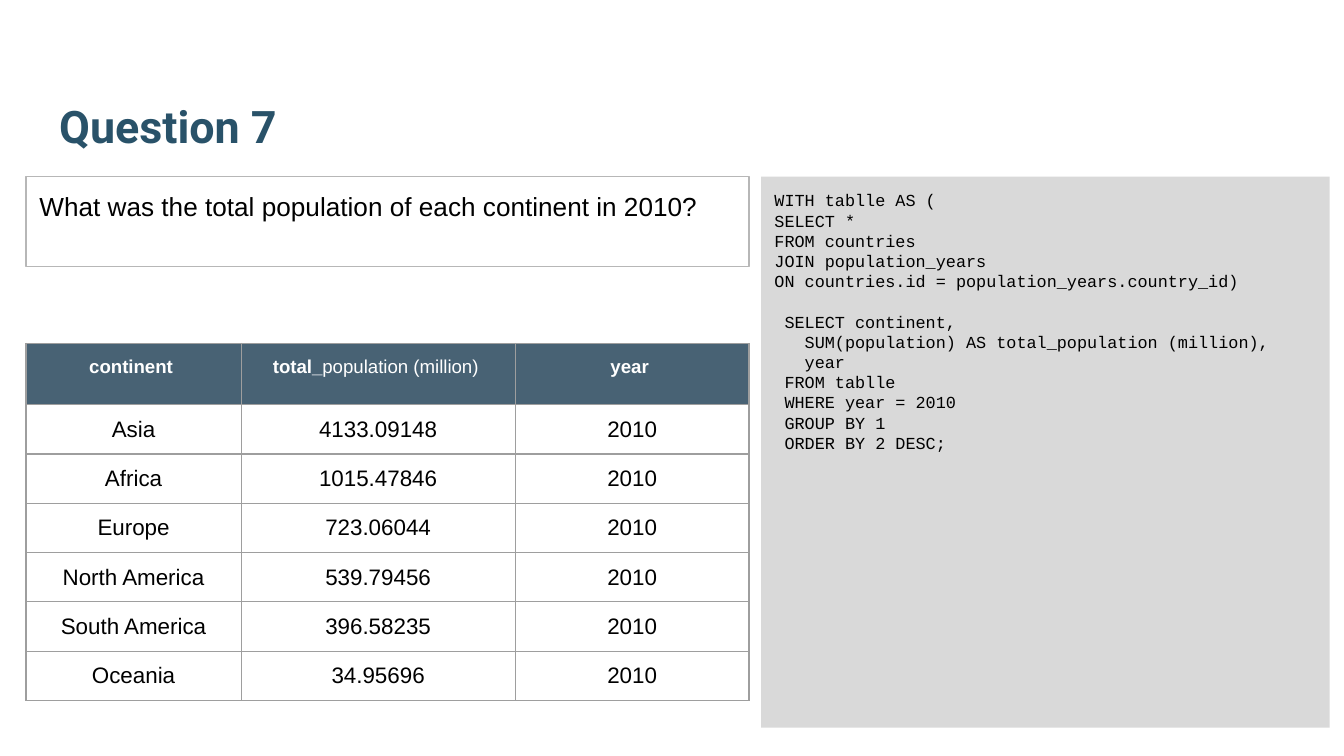
from dataclasses import dataclass

from pptx import Presentation
from pptx.dml.color import RGBColor
from pptx.enum.shapes import MSO_SHAPE
from pptx.enum.text import MSO_ANCHOR, PP_ALIGN
from pptx.oxml import parse_xml
from pptx.oxml.ns import nsdecls, qn
from pptx.util import Inches, Pt
from lxml.etree import SubElement


@dataclass(frozen=True)
class Theme:
    title: str = "295269"
    ink: str = "000000"
    header: str = "204056"
    header_ink: str = "FFFFFF"
    code_panel: str = "D9D9D9"
    question_line: str = "B7B7B7"
    grid_line: str = "9E9E9E"
    title_font: str = "Roboto"
    body_font: str = "Arial"
    code_font: str = "Courier New"
    title_size: float = 24
    question_size: float = 14
    cell_size: float = 12
    header_size: float = 10
    code_size: float = 9
    code_leading: float = 10.83
    line_width: float = 0.75


theme = Theme()
prs = Presentation()
prs.slide_width = Inches(10)
prs.slide_height = prs.slide_width * 9 // 16
unit = prs.slide_width / 100  # square grid, 100 columns across
slide = prs.slides.add_slide(prs.slide_layouts[5])


def grid(*counts):
    return [round(count * unit) for count in counts]


def add_run(paragraph, text, font, size, color, bold=False):
    run = paragraph.add_run()
    run.text = text
    run.font.name, run.font.size, run.font.bold = font, Pt(size), bold
    run.font.color.rgb = RGBColor.from_string(color)


left, top, question_width = 1.94, 13.14, 53.8

# Title
title = slide.shapes.title
title.left, title.top, title.width, title.height = grid(3.4, 3.2, 93.2, 9.15)
title.text_frame.vertical_anchor = MSO_ANCHOR.BOTTOM
add_run(title.text_frame.paragraphs[0], "Question 7", theme.title_font,
        theme.title_size, theme.title, True)

# Code panel and question box
code_panel = slide.shapes.add_shape(MSO_SHAPE.RECTANGLE, *grid(56.64, top, 42.3, 41))
code_panel.fill.solid()
code_panel.fill.fore_color.rgb = RGBColor.from_string(theme.code_panel)
code_panel.line.fill.background()

question = slide.shapes.add_shape(MSO_SHAPE.RECTANGLE, *grid(left, top, question_width, 6.7))
question.fill.background()
question.line.color.rgb = RGBColor.from_string(theme.question_line)
question.line.width = Pt(theme.line_width)

for panel in (code_panel, question):
    panel.shadow.inherit = False
    panel.text_frame.vertical_anchor = MSO_ANCHOR.TOP

for frame in (title.text_frame, code_panel.text_frame, question.text_frame):
    frame.word_wrap = True
    frame.margin_left = frame.margin_right = frame.margin_top = frame.margin_bottom = round(unit)
    frame.paragraphs[0].alignment = PP_ALIGN.LEFT

add_run(question.text_frame.paragraphs[0],
        "What was the total population of each continent in 2010?",
        theme.body_font, theme.question_size, theme.ink)

# Query: the common table expression, then the main select
query_parts = (
    """WITH tablle AS (
SELECT *
FROM countries
JOIN population_years
ON countries.id = population_years.country_id)""",
    """ SELECT continent,
   SUM(population) AS total_population (million),
   year
 FROM tablle
 WHERE year = 2010
 GROUP BY 1
 ORDER BY 2 DESC;""",
)
code_line = code_panel.text_frame.paragraphs[0]
for part_number, part in enumerate(query_parts):
    for line_number, text in enumerate(part.split("\n")):
        if part_number or line_number:
            code_line = code_panel.text_frame.add_paragraph()
        code_line.alignment = PP_ALIGN.LEFT
        code_line.line_spacing = Pt(theme.code_leading)
        if part_number and not line_number:
            code_line.space_before = Pt(theme.code_leading)
        add_run(code_line, text, theme.code_font, theme.code_size, theme.ink)

# Result table: each header is a list of (text, bold) runs
headers = (
    [("continent ", True)],
    [("total_", True), ("population (million) ", False)],
    [("year ", True)],
)
populations = (
    ("Asia", "4133.09148"),
    ("Africa", "1015.47846"),
    ("Europe", "723.06044"),
    ("North America", "539.79456"),
    ("South America", "396.58235"),
    ("Oceania", "34.95696"),
)
rows = [headers] + [[[(text, False)] for text in (*record, "2010")] for record in populations]
header_height, row_height = 4.55, 3.67
results = slide.shapes.add_table(
    len(rows), len(headers),
    *grid(left, 25.56, question_width, header_height + row_height * len(populations))).table
results.first_row = results.horz_banding = False
for column, width in zip(results.columns, grid(16, 20.4, 17.4)):
    column.width = width

for row_number, row in enumerate(rows):
    is_header = row_number == 0
    results.rows[row_number].height = grid(header_height if is_header else row_height)[0]
    for column_number, runs in enumerate(row):
        cell = results.cell(row_number, column_number)
        margin = grid(1 if is_header else 0.3)[0]
        cell.margin_left = cell.margin_right = cell.margin_top = cell.margin_bottom = margin
        cell.vertical_anchor = MSO_ANCHOR.TOP if is_header else MSO_ANCHOR.MIDDLE
        label = cell.text_frame.paragraphs[0]
        label.alignment = PP_ALIGN.CENTER
        for text, bold in runs:
            add_run(label, text, theme.body_font,
                    theme.header_size if is_header else theme.cell_size,
                    theme.header_ink if is_header else theme.ink, bold)

        # Borders come before the fill in the cell properties
        properties = cell._tc.get_or_add_tcPr()
        for side in ("lnL", "lnR", "lnT", "lnB"):
            properties.append(parse_xml(
                f'<a:{side} {nsdecls("a")} w="{Pt(theme.line_width)}"><a:solidFill>'
                f'<a:srgbClr val="{theme.grid_line}"/></a:solidFill></a:{side}>'))
        if is_header:
            cell.fill.solid()
            cell.fill.fore_color.rgb = RGBColor.from_string(theme.header)
            fill_color = properties.find(qn("a:solidFill")).find(qn("a:srgbClr"))
            SubElement(fill_color, qn("a:alpha")).set("val", "82000")
        else:
            cell.fill.background()

prs.save("out.pptx")
